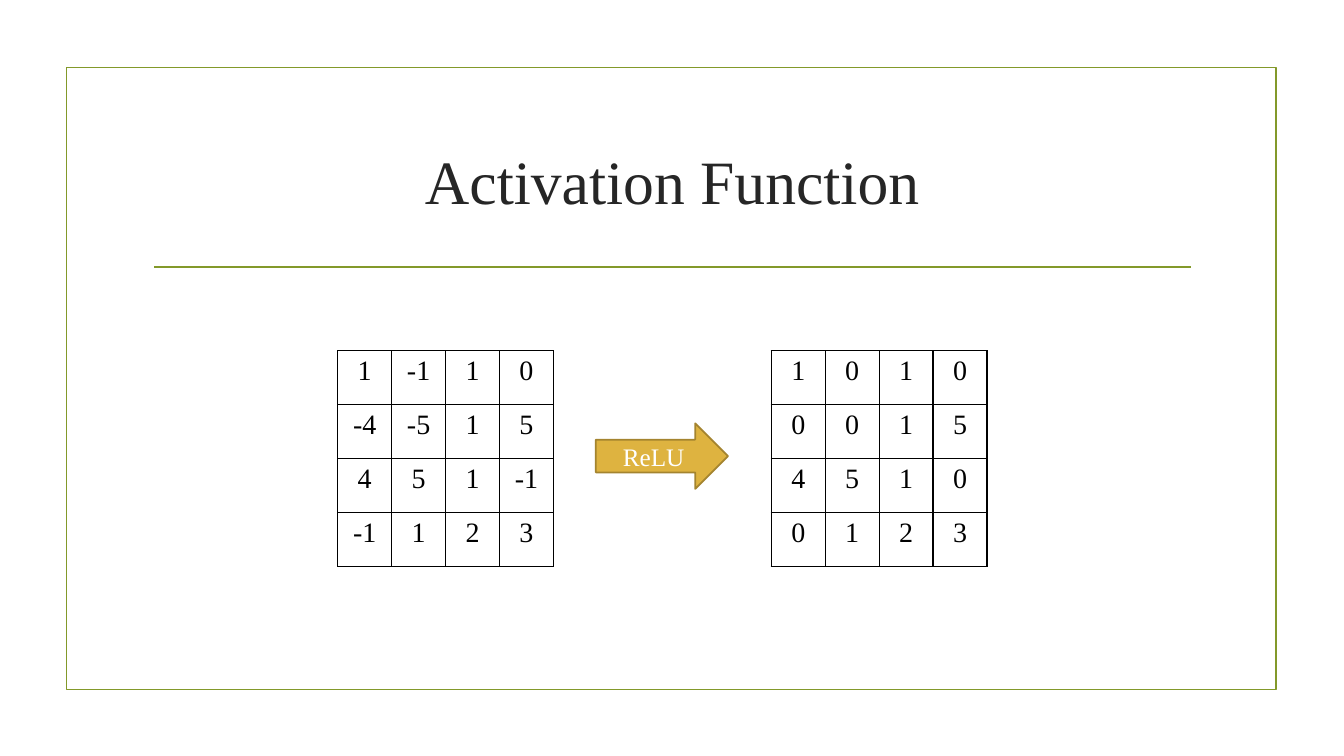
from lxml import etree
from pptx import Presentation
from pptx import util as u
from pptx.dml.color import RGBColor
from pptx.enum import shapes, text
from pptx.oxml import ns

GREEN, BLACK, WHITE = "83992A", "000000", "FFFFFF"


def colour(value):
    return RGBColor.from_string(value)


class SlideBuilder:
    font = "Times New Roman"
    line_width = u.Pt(1.25)

    def __init__(self, slide):
        self.slide = slide

    def set_words(self, frame, words, size, ink):
        """Put one centred paragraph into a text frame."""
        frame.text = words
        para = frame.paragraphs[0]
        para.alignment = text.PP_ALIGN.CENTER
        for span in para.runs:
            span.font.name = self.font
            span.font.size = u.Pt(size)
            span.font.color.rgb = colour(ink)

    def title(self, words, left, top, width, height):
        box = self.slide.shapes.add_textbox(*map(u.Inches, (left, top, width, height)))
        box.text_frame.word_wrap = True
        box.text_frame.vertical_anchor = text.MSO_ANCHOR.MIDDLE
        self.set_words(box.text_frame, words, 44, "262626")

    def shape(self, kind, left, top, width, height, line, fill=None):
        shape = self.slide.shapes.add_shape(kind, *map(u.Inches, (left, top, width, height)))
        shape.shadow.inherit = False
        shape.line.color.rgb = colour(line)
        shape.line.width = self.line_width
        if fill:
            shape.fill.solid()
            shape.fill.fore_color.rgb = colour(fill)
        else:
            shape.fill.background()
        return shape

    def arrow(self, words, left, top, width, height):
        arrow = self.shape(shapes.MSO_SHAPE.RIGHT_ARROW, left, top, width, height,
                           "A4842F", "DEB340")
        arrow.text_frame.vertical_anchor = text.MSO_ANCHOR.MIDDLE
        self.set_words(arrow.text_frame, words, 18, WHITE)

    def rule(self, left, right, y):
        rule = self.slide.shapes.add_connector(
            shapes.MSO_CONNECTOR.STRAIGHT, *map(u.Inches, (left, y, right, y)))
        rule.line.color.rgb = colour(GREEN)
        rule.line.width = self.line_width
        etree.SubElement(rule._element.spPr, ns.qn("a:effectLst"))

    def border(self, cell):
        properties = cell._tc.get_or_add_tcPr()
        for side in ("lnL", "lnR", "lnT", "lnB"):
            line = etree.SubElement(properties, ns.qn("a:" + side), w=str(u.Pt(1)))
            fill = etree.SubElement(line, ns.qn("a:solidFill"))
            etree.SubElement(fill, ns.qn("a:srgbClr"), val=BLACK)

    def matrix(self, values, left, top, side):
        """Draw a square grid of numbers as a bordered table."""
        count = len(values)
        table = self.slide.shapes.add_table(
            count, count, *map(u.Inches, (left, top, side, side))).table
        table.first_row = table.horz_banding = False
        for row, numbers in enumerate(values):
            for column, number in enumerate(numbers):
                cell = table.cell(row, column)
                self.border(cell)
                cell.fill.solid()
                cell.fill.fore_color.rgb = colour(WHITE)
                self.set_words(cell.text_frame, str(number), 20, BLACK)


def main():
    deck = Presentation()
    deck.slide_width, deck.slide_height = u.Inches(13.33), u.Inches(7.5)
    page = SlideBuilder(deck.slides.add_slide(deck.slide_layouts[6]))

    inputs = [[1, -1, 1, 0], [-4, -5, 1, 5], [4, 5, 1, -1], [-1, 1, 2, 3]]
    activated = [[max(0, number) for number in row] for row in inputs]

    page.shape(shapes.MSO_SHAPE.RECTANGLE, 0.66, 0.67, 12, 6.17, GREEN)
    page.rule(1.53, 11.81, 2.65)
    page.title("Activation Function", 1.42, 1.07, 10.5, 1.43)
    page.matrix(activated, 7.65, 3.48, 2.14)
    page.matrix(inputs, 3.35, 3.48, 2.14)
    page.arrow("ReLU", 5.91, 4.2, 1.31, 0.65)

    deck.save("out.pptx")


if __name__ == "__main__":
    main()
